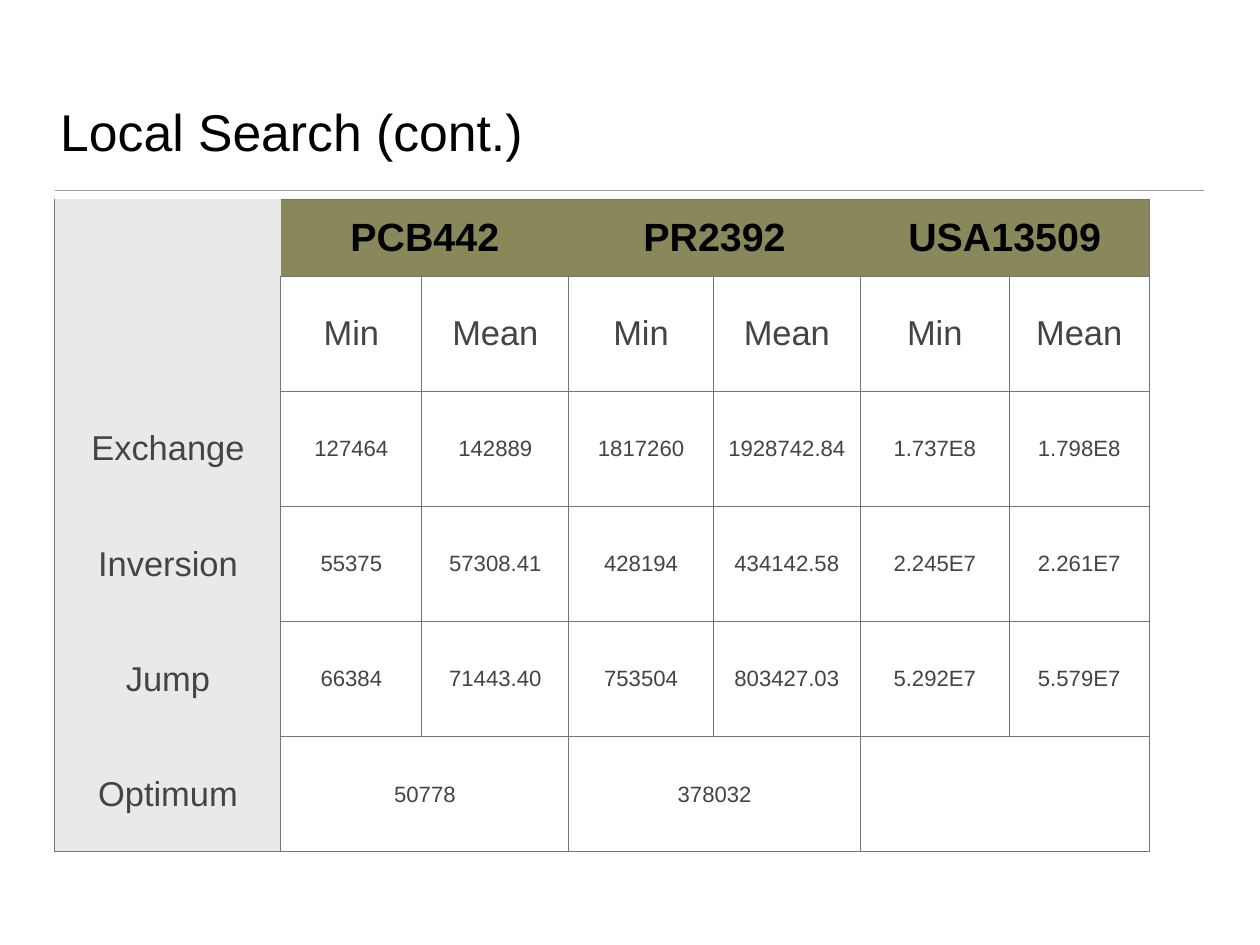
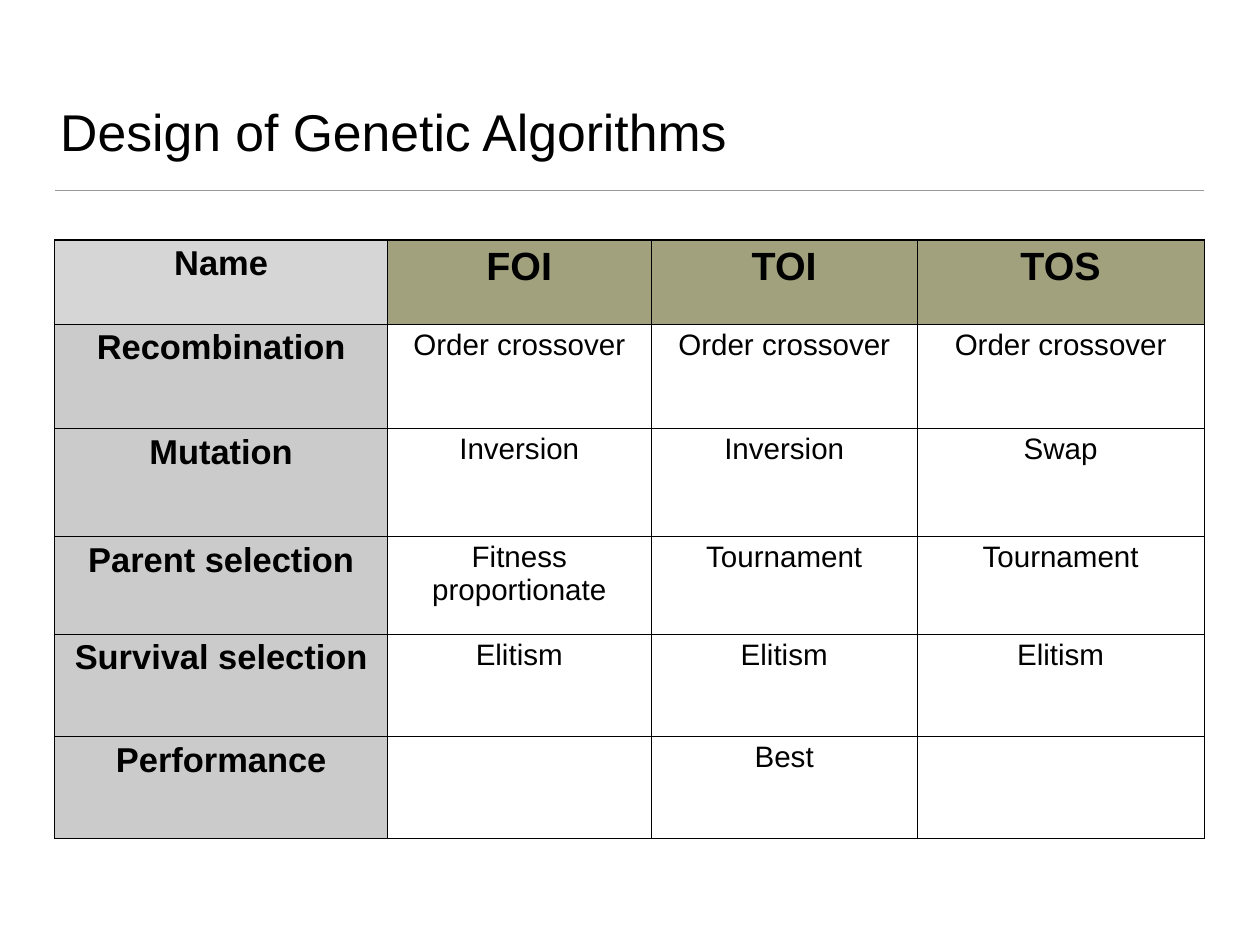
import pptx
import pptx.dml.color
import pptx.enum.shapes
import pptx.enum.text
import pptx.oxml.ns
import pptx.util
from lxml import etree
from pptx.util import Inches

RGBColor = pptx.dml.color.RGBColor
ANCHOR = pptx.enum.text.MSO_ANCHOR
ALIGN = pptx.enum.text.PP_ALIGN
qn = pptx.oxml.ns.qn

# Shared look
BLACK = RGBColor(0x00, 0x00, 0x00)
BODY_GREY = RGBColor(0x44, 0x44, 0x44)
BORDER_GREY = RGBColor(0x74, 0x74, 0x74)
RULE_GREY = RGBColor(0x9A, 0x9A, 0x9A)
STUB_GREY = RGBColor(0xCB, 0xCB, 0xCB)
CORNER_GREY = RGBColor(0xD6, 0xD6, 0xD6)
PALE_GREY = RGBColor(0xE9, 0xE9, 0xE9)
OLIVE = RGBColor(0x88, 0x88, 0x5A)
LIGHT_OLIVE = RGBColor(0xA1, 0xA1, 0x7D)
FONT = "Arial"
LEFT = Inches(0.62)
CONTENT_WIDTH = Inches(12.97)
RULE_TOP = Inches(2.15)
INSET = Inches(0.06)

deck = pptx.Presentation()
deck.slide_width = Inches(14.22)
deck.slide_height = Inches(10.67)


def add_table_slide(heading, top, widths, heights):
    """Add a slide with title, rule and an unstyled table; return the table."""
    slide = deck.slides.add_slide(deck.slide_layouts[5])
    title = slide.shapes.title
    title.left, title.top = LEFT, Inches(0.36)
    title.width, title.height = CONTENT_WIDTH, Inches(1.53)
    frame = title.text_frame
    frame.text = heading
    frame.auto_size = pptx.enum.text.MSO_AUTO_SIZE.NONE
    frame.vertical_anchor = ANCHOR.BOTTOM
    frame.margin_left = frame.margin_right = INSET
    frame.margin_top = frame.margin_bottom = INSET
    frame.paragraphs[0].alignment = ALIGN.LEFT
    font = frame.paragraphs[0].runs[0].font
    font.name, font.size, font.color.rgb = FONT, pptx.util.Pt(42), BLACK

    rule = slide.shapes.add_connector(
        pptx.enum.shapes.MSO_CONNECTOR.STRAIGHT,
        LEFT, RULE_TOP, LEFT + CONTENT_WIDTH, RULE_TOP)
    rule.line.color.rgb = RULE_GREY
    rule.line.width = pptx.util.Pt(1)
    etree.SubElement(rule._element.spPr, qn("a:effectLst"))

    table = slide.shapes.add_table(
        len(heights), len(widths), LEFT, top,
        Inches(sum(widths)), Inches(sum(heights))).table
    table.first_row = table.horz_banding = False
    for column, width in zip(table.columns, widths):
        column.width = Inches(width)
    for row, height in zip(table.rows, heights):
        row.height = Inches(height)
    return table


def style_cell(cell, text, size, color, bold, fill, border, edges="LRTB"):
    """Fill in one cell and draw a 1 pt border on the named edges."""
    paragraph = cell.text_frame.paragraphs[0]
    paragraph.text = text
    paragraph.alignment = ALIGN.CENTER
    for run in paragraph.runs:
        run.font.name, run.font.size = FONT, pptx.util.Pt(size)
        run.font.bold, run.font.color.rgb = bold, color
    if fill is None:
        cell.fill.background()
    else:
        cell.fill.solid()
        cell.fill.fore_color.rgb = fill
    properties = cell._tc.get_or_add_tcPr()
    for position, edge in enumerate("LRTB"):
        line = etree.Element(qn("a:ln" + edge), w="12700")
        if edge in edges:
            paint = etree.SubElement(line, qn("a:solidFill"))
            etree.SubElement(paint, qn("a:srgbClr"), val=str(border))
        else:
            etree.SubElement(line, qn("a:noFill"))
        properties.insert(position, line)


# Slide 1: local search results
results = [
    ["", "PCB442", "", "PR2392", "", "USA13509", ""],
    ["", "Min", "Mean", "Min", "Mean", "Min", "Mean"],
    ["Exchange", "127464", "142889", "1817260", "1928742.84", "1.737E8", "1.798E8"],
    ["Inversion", "55375", "57308.41", "428194", "434142.58", "2.245E7", "2.261E7"],
    ["Jump", "66384", "71443.40", "753504", "803427.03", "5.292E7", "5.579E7"],
    ["Optimum", "50778", "", "378032", "", "", ""],
]
last = len(results) - 1
search = add_table_slide("Local Search (cont.)", Inches(2.25),
                         [2.55, 1.59, 1.66, 1.63, 1.66, 1.68, 1.58],
                         [0.87] + [1.3] * last)
for r, c in ((r, c) for r in (0, last) for c in (1, 3, 5)):
    search.cell(r, c).merge(search.cell(r, c + 1))
for r, row in enumerate(results):
    for c, text in enumerate(row):
        size, color, fill, edges = 18, BODY_GREY, None, "LRTB"
        if c == 0:
            size, fill = 28, PALE_GREY
            edges = "L" if r == 0 else "LRB" if r == last else "LR"
        elif r == 0:
            size, color, fill = 32, BLACK, OLIVE
            edges = "RTB" if c >= 5 else "TB"
        elif r == 1:
            size = 28
        cell = search.cell(r, c)
        cell.vertical_anchor = ANCHOR.MIDDLE
        cell.margin_left = cell.margin_right = INSET
        cell.margin_top = cell.margin_bottom = INSET
        style_cell(cell, text, size, color, r == 0, fill, BORDER_GREY, edges)

# Slide 2: operators of the three genetic algorithms
operators = [
    ["Name", "FOI", "TOI", "TOS"],
    ["Recombination"] + ["Order crossover"] * 3,
    ["Mutation", "Inversion", "Inversion", "Swap"],
    ["Parent selection", "Fitness proportionate", "Tournament", "Tournament"],
    ["Survival selection"] + ["Elitism"] * 3,
    ["Performance", "", "Best", ""],
]
design = add_table_slide("Design of Genetic Algorithms", Inches(2.71),
                         [3.75, 2.98, 3, 3.24],
                         [0.95, 1.18, 1.22, 1.1, 1.16, 1.15])
for r, row in enumerate(operators):
    for c, text in enumerate(row):
        if c == 0:
            size, fill = 28, STUB_GREY if r else CORNER_GREY
        elif r == 0:
            size, fill = 32, LIGHT_OLIVE
        else:
            size, fill = 24, None
        style_cell(design.cell(r, c), text, size, BLACK, r == 0 or c == 0,
                   fill, BLACK)

deck.save("out.pptx")
